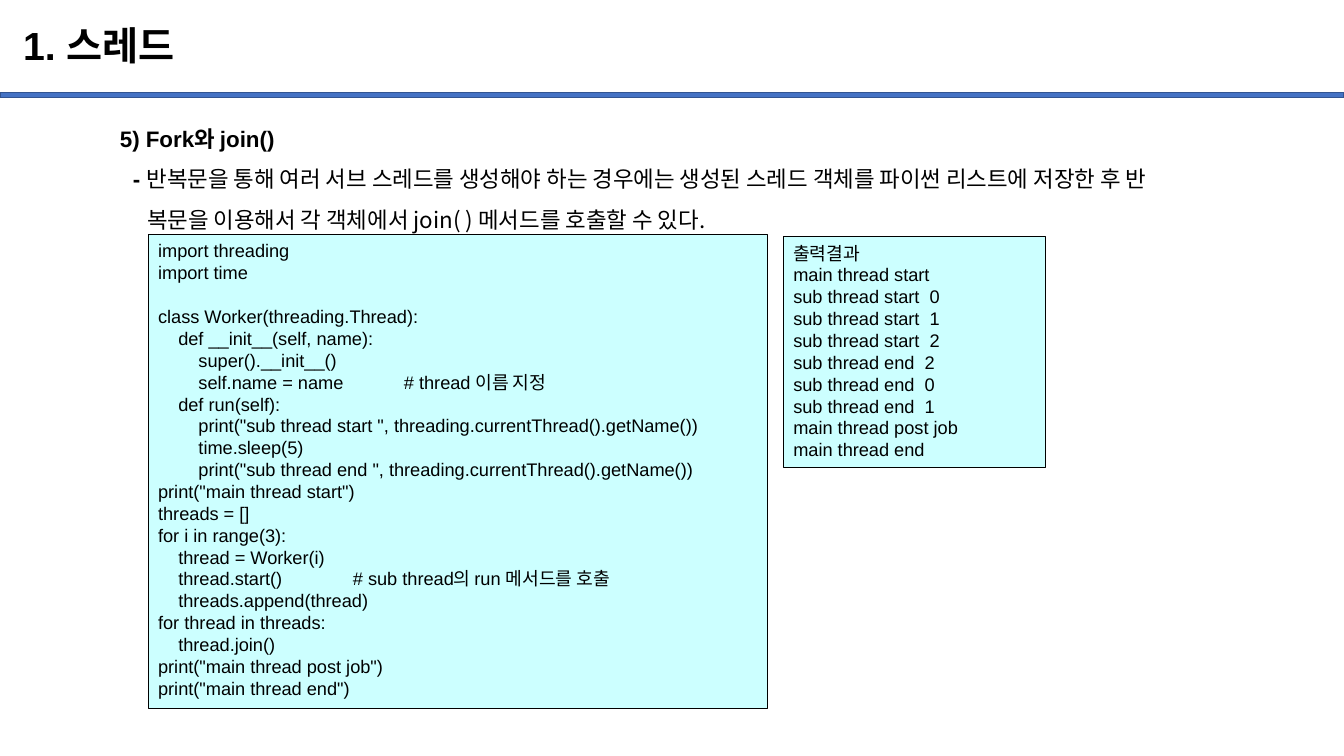
from pptx import Presentation
from pptx.dml.color import RGBColor
from pptx.enum.shapes import MSO_SHAPE as Shape
from pptx.enum.text import MSO_ANCHOR as Anchor, PP_ALIGN as Align
from pptx.util import Inches, Pt
from lxml import etree

# Content
TITLE = "1. 스레드"
HEADING = "5) Fork와 join()"
EXPLANATION = (
    "반복문을 통해 여러 서브 스레드를 생성해야 하는 경우에는 생성된 스레드 객체를 파이썬 리스트에 저장한 후 반",
    "복문을 이용해서 각 객체에서 join( ) 메서드를 호출할 수 있다.",
)
CODE = """import threading
import time

class Worker(threading.Thread):
    def __init__(self, name):
        super().__init__()
        self.name = name            # thread 이름 지정
    def run(self):
        print("sub thread start ", threading.currentThread().getName())
        time.sleep(5)
        print("sub thread end ", threading.currentThread().getName())
print("main thread start")
threads = []
for i in range(3):
    thread = Worker(i)
    thread.start()              # sub thread의 run 메서드를 호출
    threads.append(thread)
for thread in threads:
    thread.join()
print("main thread post job")
print("main thread end")"""
OUTPUT = """출력결과
main thread start
sub thread start  0
sub thread start  1
sub thread start  2
sub thread end  2
sub thread end  0
sub thread end  1
main thread post job
main thread end"""
PANELS = [
    (CODE, (1.47, 2.33, 6.14, 4.7)),
    (OUTPUT, (7.77, 2.35, 2.6, 2.29)),
]
LATIN, KOREAN = "Arial", "Noto Sans CJK KR"
CODE_SIZE, CODE_LINE = 13, 15.6


def color(value):
    return RGBColor.from_string(value)


def style(font, size, bold=False, name=LATIN):
    font.name, font.size, font.bold = name, Pt(size), bold
    font.color.rgb = color("000000")


def add_box(place, fill, line, width):
    box = slide.shapes.add_shape(Shape.RECTANGLE, *map(Inches, place))
    box.shadow.inherit = False
    box.fill.solid()
    box.fill.fore_color.rgb = color(fill)
    box.line.color.rgb = color(line)
    box.line.width = Pt(width)
    return box


def add_panel(text, place):
    frame = add_box(place, "CCFFFF", "000000", 0.75).text_frame
    frame.word_wrap = True
    frame.vertical_anchor = Anchor.TOP
    paragraph, gap = frame.paragraphs[0], 0
    for number, line in enumerate(text.split("\n")):
        if not line:  # an empty code line becomes space above the next
            gap = CODE_LINE
            continue
        if number:
            paragraph = frame.add_paragraph()
        paragraph.text = line
        paragraph.alignment = Align.LEFT
        paragraph.space_before, gap = Pt(gap), 0
        style(paragraph.font, CODE_SIZE)


deck = Presentation()
deck.slide_width, deck.slide_height = Inches(13.33), Inches(7.5)
slide = deck.slides.add_slide(deck.slide_layouts[5])

# Title and the bar under it
title = slide.shapes.title
title.left, title.top, title.width, title.height = map(Inches, (0.13, 0.1, 11.5, 0.74))
title.text_frame.text = TITLE
title.text_frame.vertical_anchor = Anchor.MIDDLE
title_line = title.text_frame.paragraphs[0]
title_line.alignment = Align.LEFT
title_line.line_spacing = 0.9
style(title_line.font, 28, bold=True)
add_box((0, 0.92, 13.33, 0.05), "4472C4", "325491", 1)

# Heading and explanation with a hanging dash
body = slide.shapes.add_textbox(*map(Inches, (1.09, 1.06, 11.72, 5.7))).text_frame
body.word_wrap = True
heading = body.paragraphs[0]
heading.text = HEADING
style(heading.font, 16, bold=True)
explanation = body.add_paragraph()
dash = explanation.add_run()
dash.text = "- "
style(dash.font, 16, bold=True)
for number, line in enumerate(EXPLANATION):
    if number:
        explanation.add_line_break()
    run = explanation.add_run()
    run.text = line
    style(run.font, 16, name=KOREAN)
    east_asian = etree.SubElement(
        run.font._element, "{http://schemas.openxmlformats.org/drawingml/2006/main}ea")
    east_asian.set("typeface", KOREAN)
style(explanation.font, 16)
for paragraph in body.paragraphs:
    paragraph.line_spacing = 1.5
hanging = explanation._p.get_or_add_pPr()
hanging.set("marL", str(Inches(0.27)))
hanging.set("indent", str(Inches(-0.14)))

# Code and its output
for text, place in PANELS:
    add_panel(text, place)

deck.save("out.pptx")
